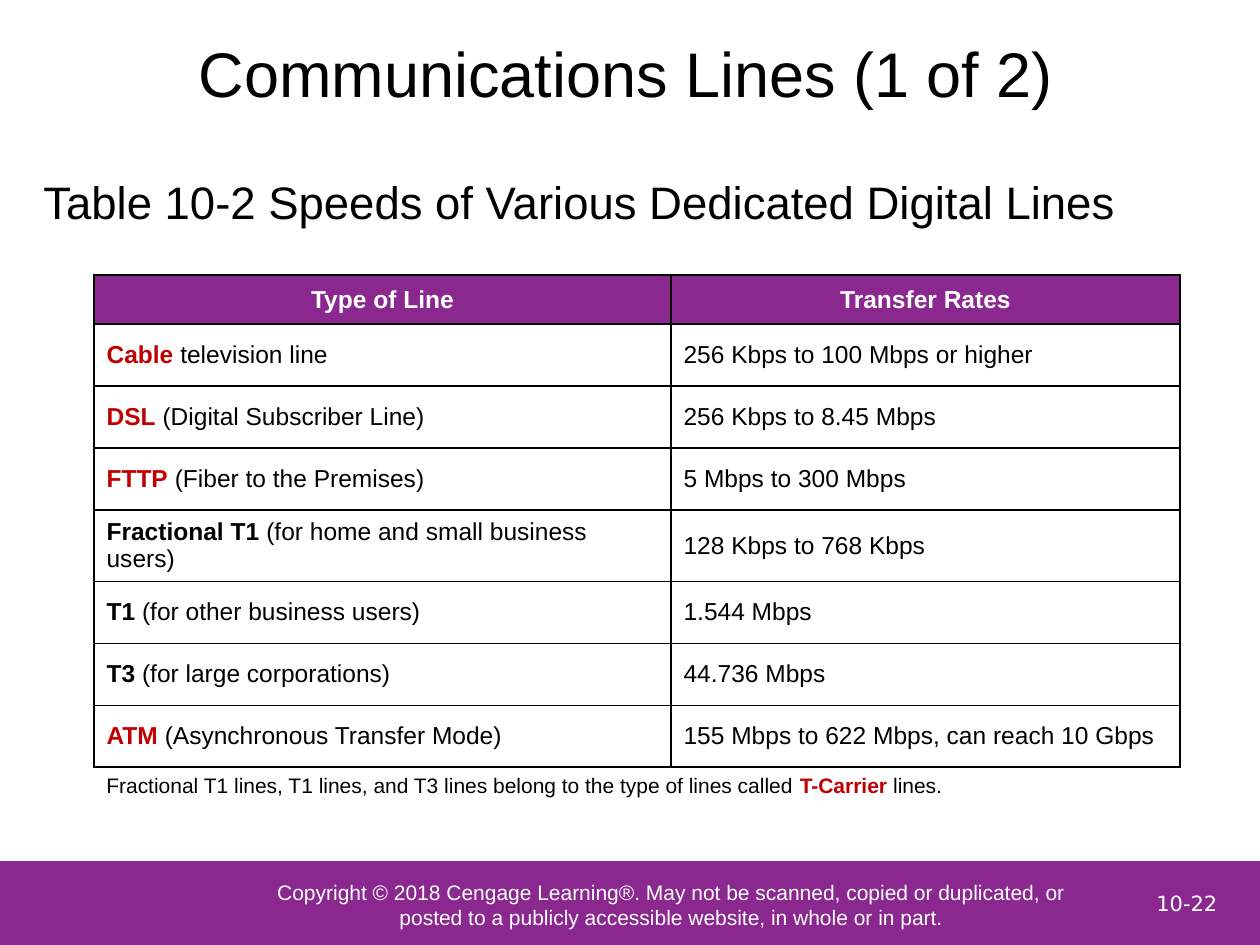
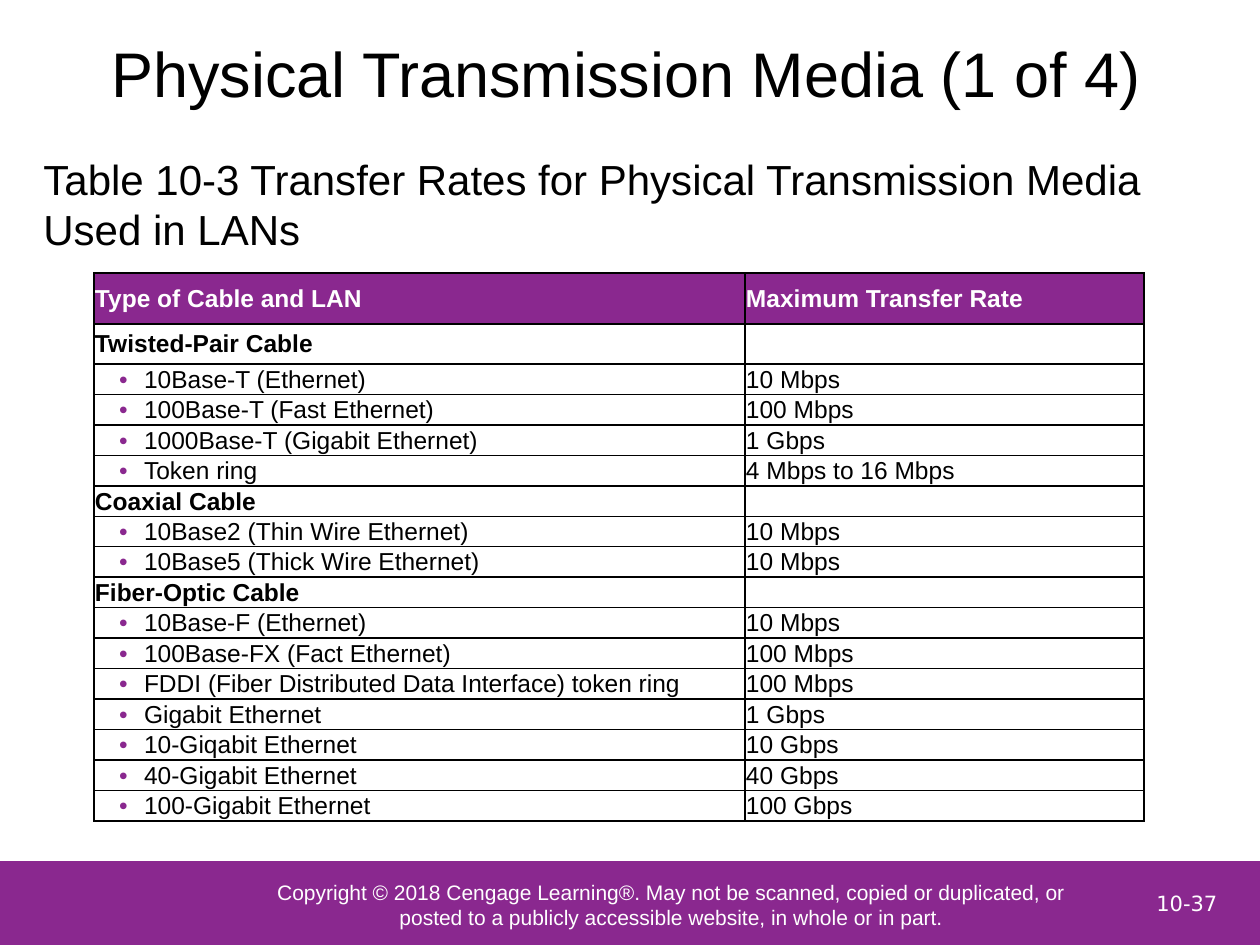
from dataclasses import dataclass
from typing import NamedTuple, Optional

from lxml.etree import SubElement
from pptx import Presentation
from pptx.dml.color import RGBColor
from pptx.enum.shapes import MSO_SHAPE as Shape
from pptx.enum.text import MSO_ANCHOR as Anchor, MSO_AUTO_SIZE as AutoSize, PP_ALIGN as Align
from pptx.oxml import parse_xml
from pptx.oxml.ns import nsdecls, qn
from pptx.util import Pt

# Shared look
PURPLE = RGBColor(0x8A, 0x28, 0x8F)
RED = RGBColor(0xC0, 0x00, 0x00)
BLACK = RGBColor(0x00, 0x00, 0x00)
WHITE = RGBColor(0xFF, 0xFF, 0xFF)
FONT = "Arial"
NUMBER_FONT = "DejaVu Sans"
EMU_PER_PX = 914400 / 126
TABLE_SIZE = 14
COPYRIGHT = (
    "Copyright © 2018 Cengage Learning®. May not be scanned, copied or duplicated, "
    "or posted to a publicly accessible website, in whole or in part."
)


class Box(NamedTuple):
    left: int
    top: int
    width: int
    height: int


class Span(NamedTuple):
    text: str
    bold: bool = False
    color: RGBColor = BLACK


class Margins(NamedTuple):
    left: int
    top: int
    right: int
    bottom: int


@dataclass
class Cell:
    spans: list[Span]
    bullet: bool = False
    fill: RGBColor = WHITE
    align: Align = Align.LEFT


@dataclass
class TableSpec:
    left: int
    top: int
    columns: list[int]
    row_heights: list[int]
    rows: list[list[Cell]]
    margins: Optional[Margins] = None


SLIDE = Box(0, 0, 1260, 945)
TITLE = Box(73, 3, 1106, 139)
BAND = Box(0, 861, 1260, 84)
COPYRIGHT_BOX = Box(262, 868, 819, 73)
NUMBER_BOX = Box(1124, 872, 126, 63)


def px(length: int) -> int:
    return round(length * EMU_PER_PX)


def place(box: Box) -> list[int]:
    return [px(length) for length in box]


# Text
def add_spans(paragraph, spans: list[Span], size: int, font: str = FONT) -> None:
    for span in spans:
        run = paragraph.add_run()
        run.text = span.text
        run.font.name = font
        run.font.size = Pt(size)
        run.font.bold = span.bold
        run.font.color.rgb = span.color


def add_text(slide, box: Box, spans: list[Span], size: int, font: str = FONT,
             align: Align = Align.LEFT, anchor: Anchor = Anchor.TOP) -> None:
    frame = slide.shapes.add_textbox(*place(box)).text_frame
    frame.word_wrap = True
    frame.vertical_anchor = anchor
    paragraph = frame.paragraphs[0]
    paragraph.alignment = align
    add_spans(paragraph, spans, size, font)


def add_bullet(paragraph) -> None:
    properties = paragraph._p.get_or_add_pPr()
    properties.set("marL", str(px(49)))
    properties.set("indent", str(px(-25)))
    color = SubElement(properties, qn("a:buClr"))
    SubElement(color, qn("a:srgbClr"), val=str(PURPLE))
    SubElement(properties, qn("a:buFont"), typeface=FONT)
    SubElement(properties, qn("a:buChar"), char="•")


# Title, band and footer of every slide
def add_rectangle(slide, box: Box):
    shape = slide.shapes.add_shape(Shape.RECTANGLE, *place(box))
    shape.shadow.inherit = False
    shape.fill.solid()
    shape.fill.fore_color.rgb = PURPLE
    shape.line.fill.background()
    return shape


def add_footer(slide, number: str) -> None:
    add_rectangle(slide, BAND)
    frame = add_rectangle(slide, COPYRIGHT_BOX).text_frame
    frame.word_wrap = True
    frame.vertical_anchor = Anchor.MIDDLE
    frame.margin_left = frame.margin_top = frame.margin_right = frame.margin_bottom = 0
    paragraph = frame.paragraphs[0]
    paragraph.alignment = Align.CENTER
    add_spans(paragraph, [Span(COPYRIGHT, color=WHITE)], 12)
    add_text(slide, NUMBER_BOX, [Span(number, color=WHITE)], 12, NUMBER_FONT,
             Align.CENTER, Anchor.MIDDLE)


def add_titled_slide(presentation, title: str, number: str):
    slide = presentation.slides.add_slide(presentation.slide_layouts[5])
    shape = slide.shapes.title
    shape.left, shape.top, shape.width, shape.height = place(TITLE)
    frame = shape.text_frame
    frame.auto_size = AutoSize.NONE
    frame.vertical_anchor = Anchor.MIDDLE
    paragraph = frame.paragraphs[0]
    paragraph.alignment = Align.CENTER
    add_spans(paragraph, [Span(title)], 36)
    add_footer(slide, number)
    return slide


# Tables
def add_borders(cell) -> None:
    properties = cell._tc.get_or_add_tcPr()
    for position, side in enumerate("LRTB"):
        properties.insert(position, parse_xml(
            f'<a:ln{side} {nsdecls("a")} w="{Pt(1)}"><a:solidFill>'
            f'<a:srgbClr val="{BLACK}"/></a:solidFill></a:ln{side}>'
        ))


def fill_cell(cell, content: Cell, margins: Optional[Margins]) -> None:
    cell.fill.solid()
    cell.fill.fore_color.rgb = content.fill
    cell.vertical_anchor = Anchor.MIDDLE
    if margins:
        (cell.margin_left, cell.margin_top,
         cell.margin_right, cell.margin_bottom) = map(px, margins)
    add_borders(cell)
    paragraph = cell.text_frame.paragraphs[0]
    paragraph.alignment = content.align
    if content.bullet:
        add_bullet(paragraph)
    add_spans(paragraph, content.spans, TABLE_SIZE)
    if not content.spans:
        SubElement(paragraph._p, qn("a:endParaRPr"), sz=str(TABLE_SIZE * 100))


def add_table(slide, spec: TableSpec) -> None:
    box = Box(spec.left, spec.top, sum(spec.columns), sum(spec.row_heights))
    table = slide.shapes.add_table(len(spec.rows), len(spec.columns), *place(box)).table
    table.horz_banding = False
    for column, width in zip(table.columns, spec.columns):
        column.width = px(width)
    for row, height, contents in zip(table.rows, spec.row_heights, spec.rows):
        row.height = px(height)
        for cell, content in zip(row.cells, contents):
            fill_cell(cell, content, spec.margins)


def header_row(labels: list[str], align: Align) -> list[Cell]:
    return [Cell([Span(label, True, WHITE)], fill=PURPLE, align=align) for label in labels]


# Slide contents
LINES = [
    (Span("Cable", True, RED), " television line", "256 Kbps to 100 Mbps or higher"),
    (Span("DSL", True, RED), " (Digital Subscriber Line)", "256 Kbps to 8.45 Mbps"),
    (Span("FTTP", True, RED), " (Fiber to the Premises)", "5 Mbps to 300 Mbps"),
    (Span("Fractional T1", True), " (for home and small business users)",
     "128 Kbps to 768 Kbps"),
    (Span("T1", True), " (for other business users)", "1.544 Mbps"),
    (Span("T3", True), " (for large corporations)", "44.736 Mbps"),
    (Span("ATM", True, RED), " (Asynchronous Transfer Mode)",
     "155 Mbps to 622 Mbps, can reach 10 Gbps"),
]

CABLES = {
    "Twisted-Pair Cable": [
        ("10Base-T (Ethernet)", "10 Mbps"),
        ("100Base-T (Fast Ethernet)", "100 Mbps"),
        ("1000Base-T (Gigabit Ethernet)", "1 Gbps"),
        ("Token ring", "4 Mbps to 16 Mbps"),
    ],
    "Coaxial Cable": [
        ("10Base2 (Thin Wire Ethernet)", "10 Mbps"),
        ("10Base5 (Thick Wire Ethernet)", "10 Mbps"),
    ],
    "Fiber-Optic Cable": [
        ("10Base-F (Ethernet)", "10 Mbps"),
        ("100Base-FX (Fact Ethernet)", "100 Mbps"),
        ("FDDI (Fiber Distributed Data Interface) token ring", "100 Mbps"),
        ("Gigabit Ethernet", "1 Gbps"),
        ("10-Giqabit Ethernet", "10 Gbps"),
        ("40-Gigabit Ethernet", "40 Gbps"),
        ("100-Gigabit Ethernet", "100 Gbps"),
    ],
}


def build_lines_slide(presentation) -> None:
    slide = add_titled_slide(presentation, "Communications Lines (1 of 2)", "10-22")
    add_text(slide, Box(31, 168, 1197, 84),
             [Span("Table 10-2 Speeds of Various Dedicated Digital Lines")], 26)
    rows = [header_row(["Type of Line", "Transfer Rates"], Align.CENTER)]
    rows += [[Cell([name, Span(detail)]), Cell([Span(rate)])] for name, detail, rate in LINES]
    heights = [49] + [62] * 3 + [67] + [62] * 3
    add_table(slide, TableSpec(94, 275, [577, 509], heights, rows))
    add_text(slide, Box(94, 766, 882, 38), [
        Span("Fractional T1 lines, T1 lines, and T3 lines belong to the type of lines called "),
        Span("T-Carrier", True, RED),
        Span(" lines."),
    ], 12)


def build_media_slide(presentation) -> None:
    slide = add_titled_slide(presentation, "Physical Transmission Media (1 of 4)", "10-37")
    add_text(slide, Box(31, 147, 1229, 105), [
        Span("Table 10-3 Transfer Rates for Physical Transmission Media Used in LANs")], 24)
    rows = [header_row(["Type of Cable and LAN", "Maximum Transfer Rate"], Align.LEFT)]
    for group, cables in CABLES.items():
        rows.append([Cell([Span(group, True)]), Cell([])])
        rows += [[Cell([Span(name)], bullet=True), Cell([Span(rate)])] for name, rate in cables]
    heights = [51, 40] + [29] * (len(rows) - 2)
    add_table(slide, TableSpec(94, 273, [651, 399], heights, rows, Margins(1, 1, 1, 0)))


def main() -> None:
    presentation = Presentation()
    presentation.slide_width = px(SLIDE.width)
    presentation.slide_height = px(SLIDE.height)
    build_lines_slide(presentation)
    build_media_slide(presentation)
    presentation.save("out.pptx")


if __name__ == "__main__":
    main()
